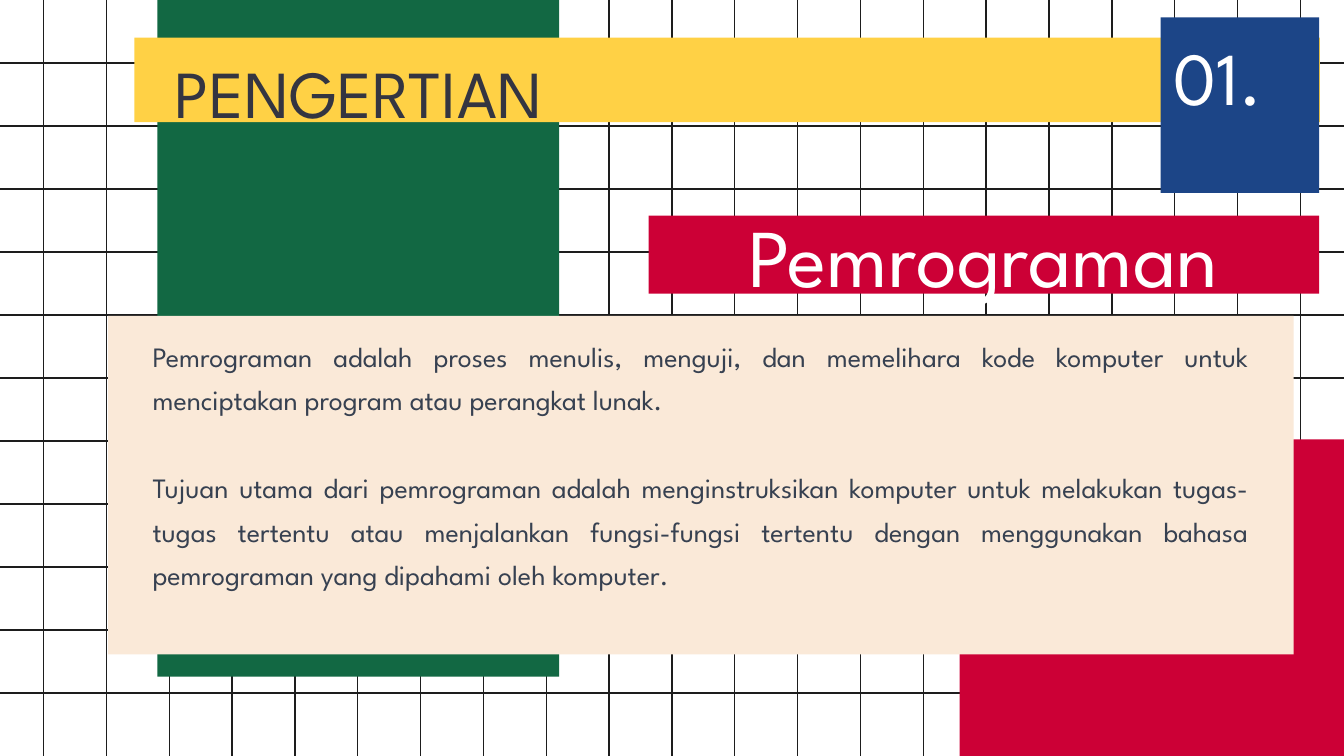
from lxml.etree import SubElement
from pptx import Presentation
from pptx.dml.color import RGBColor
from pptx.enum.shapes import MSO_CONNECTOR, MSO_SHAPE
from pptx.enum.text import MSO_ANCHOR as ANCHOR, PP_ALIGN as ALIGN
from pptx.oxml.ns import qn
from pptx.util import Emu, Pt

EMU_PER_PX = 4572  # 200 px to the inch
WIDTH, HEIGHT = 2000, 1125
FONT = "League Spartan"

INK = RGBColor(0x1D, 0x1D, 0x1D)
GREEN = RGBColor(0x12, 0x68, 0x43)
RED = RGBColor(0xCC, 0x00, 0x36)
YELLOW = RGBColor(0xFF, 0xD1, 0x45)
CREAM = RGBColor(0xFA, 0xE9, 0xD8)
BLUE = RGBColor(0x1C, 0x45, 0x87)
CHARCOAL = RGBColor(0x34, 0x35, 0x41)
SLATE = RGBColor(0x37, 0x41, 0x51)
WHITE = RGBColor(0xFF, 0xFF, 0xFF)

DEFINITION = [
    "Pemrograman adalah proses menulis, menguji, dan memelihara kode komputer "
    "untuk menciptakan program atau perangkat lunak.",
    "Tujuan utama dari pemrograman adalah menginstruksikan komputer untuk "
    "melakukan tugas-tugas tertentu atau menjalankan fungsi-fungsi tertentu "
    "dengan menggunakan bahasa pemrograman yang dipahami oleh komputer.",
]


def px(length):
    return Emu(round(length * EMU_PER_PX))


def add_grid_line(slide, x1, y1, x2, y2):
    line = slide.shapes.add_connector(
        MSO_CONNECTOR.STRAIGHT, px(x1), px(y1), px(x2), px(y2))
    line.line.color.rgb = INK
    line.line.width = Pt(0.75)
    SubElement(line._element.spPr, qn("a:effectLst"))


def add_grid(slide):
    for row in range(1, 12):
        y = row * HEIGHT / 12
        add_grid_line(slide, -28, y, WIDTH + 28, y)
    first, last, columns = 65, 1935, 21
    for column in range(columns):
        x = first + column * (last - first) / (columns - 1)
        add_grid_line(slide, x, -16, x, HEIGHT + 16)


def add_block(slide, left, top, width, height, fill):
    block = slide.shapes.add_shape(
        MSO_SHAPE.RECTANGLE, px(left), px(top), px(width), px(height))
    block.shadow.inherit = False
    block.fill.solid()
    block.fill.fore_color.rgb = fill
    block.line.fill.background()
    return block


def write(block, texts, size, color, align=ALIGN.LEFT, anchor=ANCHOR.TOP,
          side_inset=20, line_spacing=None, gap=0):
    frame = block.text_frame
    frame.word_wrap = True
    frame.vertical_anchor = anchor
    frame.margin_left = frame.margin_right = px(side_inset)
    frame.margin_top = frame.margin_bottom = px(20)
    for index, text in enumerate(texts):
        paragraph = frame.add_paragraph() if index else frame.paragraphs[0]
        paragraph.alignment = align
        paragraph.line_spacing = line_spacing
        paragraph.space_before = Pt(gap if index else 0)
        run = paragraph.add_run()
        run.text = text
        run.font.name = FONT
        run.font.size = Pt(size)
        run.font.color.rgb = color


def main():
    prs = Presentation()
    prs.slide_width, prs.slide_height = px(WIDTH), px(HEIGHT)
    slide = prs.slides.add_slide(prs.slide_layouts[6])

    # Background grid and colour blocks
    add_grid(slide)
    add_block(slide, 234, 0, 598, 1007, GREEN)
    add_block(slide, 1428, 654, 642, 504, RED)

    # Title bar
    title = add_block(slide, 200, 56, 1764, 126, YELLOW)
    write(title, ["PENGERTIAN"], 36, CHARCOAL, side_inset=60)

    # Definition panel
    panel = add_block(slide, 161, 470, 1764, 504, CREAM)
    write(panel, DEFINITION, 15, SLATE, ALIGN.JUSTIFY,
          side_inset=66, line_spacing=1.3, gap=23.5)

    # Section number and topic
    number = add_block(slide, 1727, 26, 236, 261, BLUE)
    write(number, ["01."], 40, WHITE)
    topic = add_block(slide, 965, 321, 998, 116, RED)
    write(topic, ["Pemrograman"], 44, WHITE, ALIGN.CENTER, ANCHOR.MIDDLE)

    prs.save("out.pptx")


if __name__ == "__main__":
    main()
